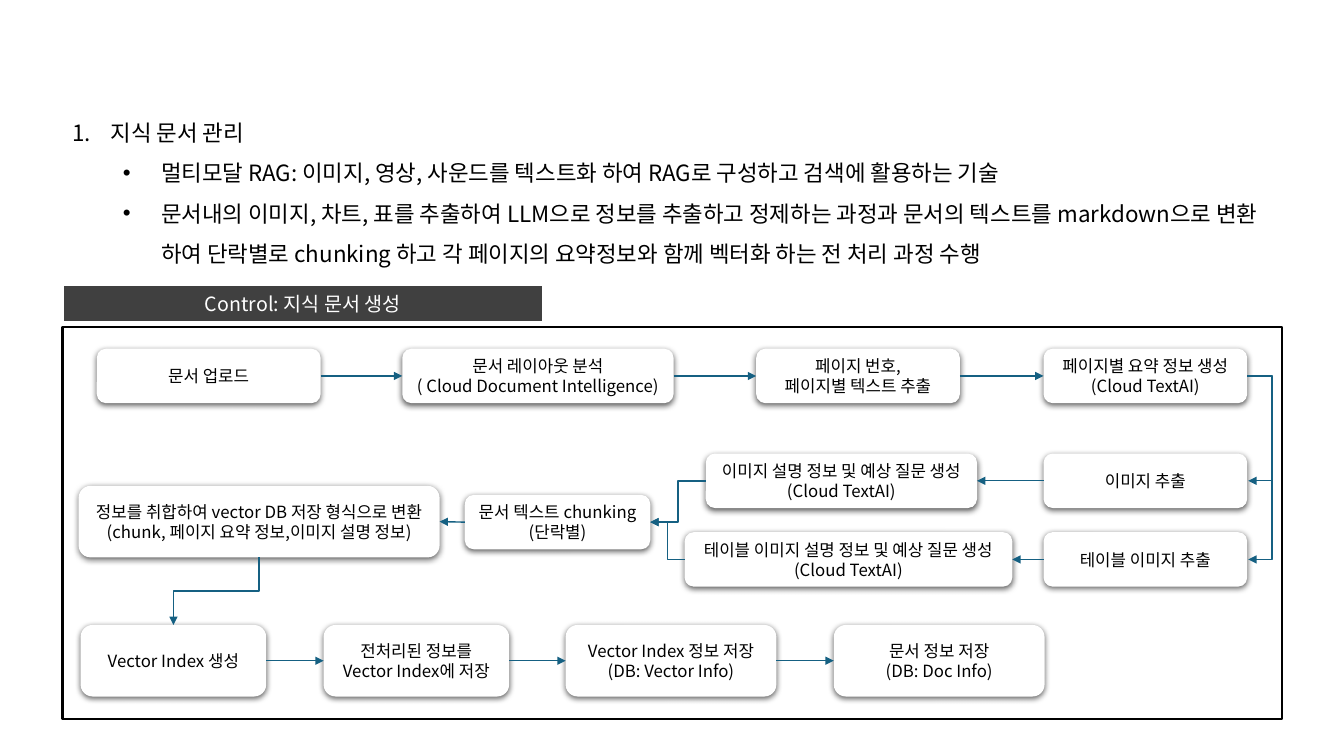
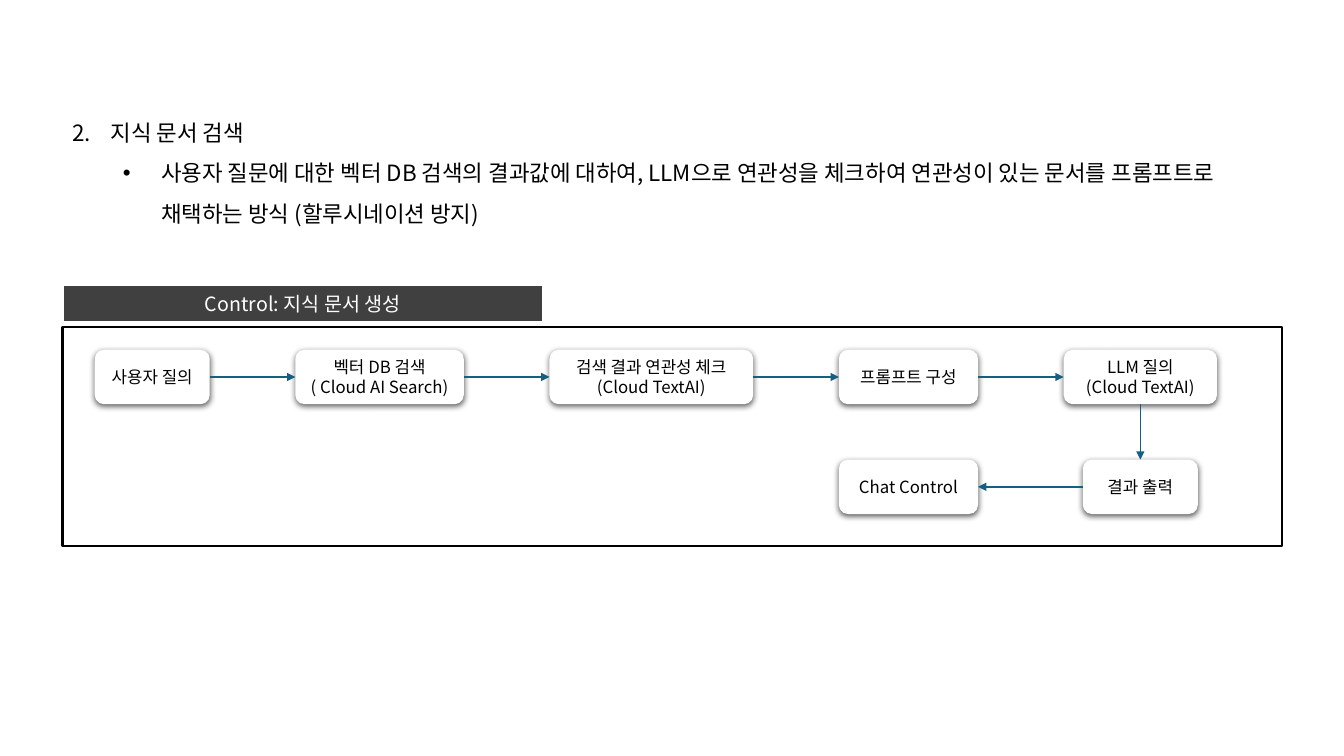
from dataclasses import dataclass

from lxml import etree
from pptx import Presentation
from pptx.dml.color import RGBColor
from pptx.enum import shapes as es, text as et
from pptx.oxml.ns import qn
from pptx.util import Emu, Inches, Pt


@dataclass(frozen=True)
class Theme:
    font: str = "Noto Sans CJK KR"
    ink: str = "000000"
    paper: str = "FFFFFF"
    band: str = "404040"
    arrow: str = "156082"
    body: int = 16
    head: int = 14
    node: int = 12
    edge: float = 1.5
    wire: float = 1


T = Theme()
TOP, LEFT, FOOT, RIGHT = range(4)
BOX_H = 0.54


def rgb(code):
    return RGBColor.from_string(code)


def sub(parent, tag, **attrs):
    return etree.SubElement(parent, qn(tag), attrs)


def style(para, size, color):
    font = para.font
    font.name, font.size = T.font, Pt(size)
    font.color.rgb = rgb(color)
    props = para._p.pPr.find(qn("a:defRPr"))
    sub(props, "a:ea", typeface=T.font)


def shape(slide, kind, box, fill, line=None):
    part = slide.shapes.add_shape(kind, *map(Inches, box))
    part.shadow.inherit = False
    part.fill.solid()
    part.fill.fore_color.rgb = rgb(fill)
    if line:
        part.line.color.rgb = rgb(line)
        part.line.width = Pt(T.edge)
    else:
        part.line.fill.background()
    return part


def label(part, words, size, color):
    frame = part.text_frame
    frame.word_wrap = True
    frame.vertical_anchor = et.MSO_ANCHOR.MIDDLE
    frame.text = words
    for para in frame.paragraphs:
        para.alignment = et.PP_ALIGN.CENTER
        style(para, size, color)


def intro(slide, box, num, title, points):
    area = slide.shapes.add_textbox(*map(Inches, box))
    frame = area.text_frame
    frame.word_wrap = True
    frame.auto_size = et.MSO_AUTO_SIZE.SHAPE_TO_FIT_TEXT
    frame.text = "\n".join([title, *points])
    for i, para in enumerate(frame.paragraphs):
        para.level = min(i, 1)
        para.line_spacing = 1.5
        props = para._p.get_or_add_pPr()
        props.set("marL", str(Inches(0.88 if i else 0.38)))
        props.set("indent", str(Inches(-0.38)))
        if i:
            sub(props, "a:buFont", typeface="Arial")
            sub(props, "a:buChar", char="•")
        else:
            sub(props, "a:buFont", typeface="+mj-lt")
            sub(props, "a:buAutoNum", type="arabicPeriod", startAt=str(num))
        style(para, T.body, T.ink)


def node(slide, box, words):
    part = shape(slide, es.MSO_SHAPE.ROUNDED_RECTANGLE, box, T.paper)
    glow = sub(
        part._element.spPr.find(qn("a:effectLst")), "a:outerShdw",
        blurRad=str(Pt(4.5)), dist=str(Pt(1.5)), dir="5400000",
        algn="ctr", rotWithShape="0")
    tint = sub(glow, "a:srgbClr", val=T.ink)
    sub(tint, "a:alpha", val="63000")
    label(part, words, T.node, T.ink)
    return part


def link(slide, a, b, out=RIGHT, into=LEFT, bent=False):
    kind = es.MSO_CONNECTOR.ELBOW if bent else es.MSO_CONNECTOR.STRAIGHT
    wire = slide.shapes.add_connector(kind, 0, 0, 0, 0)
    wire.begin_connect(a, out)
    wire.end_connect(b, into)
    wire.line.color.rgb = rgb(T.arrow)
    wire.line.width = Pt(T.wire)
    sub(wire.line._get_or_add_ln(), "a:tailEnd", type="triangle")
    sub(wire._element.spPr, "a:effectLst")
    return wire


def unflip(wire):
    form = wire._element.spPr.find(qn("a:xfrm"))
    form.attrib.pop("flipH", None)
    return form


def loop(slide, a, b):
    wire = link(slide, a, b, RIGHT, RIGHT, True)
    unflip(wire)
    wire.width = Inches(0.01)
    geom = wire._element.spPr.find(qn("a:prstGeom"))
    guides = geom.find(qn("a:avLst"))
    if guides is None:
        guides = sub(geom, "a:avLst")
    sub(guides, "a:gd", name="adj1", fmla="val 2500000")


def drop(slide, a, b):
    wire = link(slide, a, b, FOOT, TOP, True)
    wide, high = wire.width, wire.height
    wire.left = Emu(wire.left + (wide - high) // 2)
    wire.top = Emu(wire.top + (high - wide) // 2)
    wire.width, wire.height = high, wide
    unflip(wire).set("rot", "5400000")


def chain(slide, nodes, names, out=RIGHT, into=LEFT):
    keys = names.split()
    for a, b in zip(keys, keys[1:]):
        link(slide, nodes[a], nodes[b], out, into)


def panel(slide, box, title, rows):
    x, y, wide, high = box
    bar = shape(slide, es.MSO_SHAPE.RECTANGLE, (x, y, 4.77, 0.37), T.band, T.paper)
    label(bar, title, T.head, T.paper)
    y += 0.41
    shape(slide, es.MSO_SHAPE.RECTANGLE, (x, y, wide, high - 0.41), T.paper, T.ink)
    return {
        key: node(slide, (x + dx, y + dy, w, h), words)
        for dy, h, cells in rows
        for key, dx, w, words in cells
    }


def manage(slide, box):
    rows = [
        (0.22, BOX_H, [
            ("load", 0.34, 2.22, "문서 업로드"),
            ("scan", 3.37, 2.69, "문서 레이아웃 분석\n( Cloud Document Intelligence)"),
            ("page", 6.88, 2.02, "페이지 번호,\n페이지별 텍스트 추출"),
            ("brief", 9.73, 2.02, "페이지별 요약 정보 생성\n(Cloud TextAI)"),
        ]),
        (1.26, BOX_H, [
            ("image", 9.73, 2.02, "이미지 추출"),
            ("asks", 6.38, 2.69, "이미지 설명 정보 및 예상 질문 생성\n(Cloud TextAI)"),
        ]),
        (2.04, BOX_H, [
            ("table", 9.73, 2.02, "테이블 이미지 추출"),
            ("cells", 6.17, 3.25, "테이블 이미지 설명 정보 및 예상 질문 생성\n(Cloud TextAI)"),
        ]),
        (1.58, 0.71, [
            ("merge", 0.16, 3.58, "정보를 취합하여 vector DB 저장 형식으로 변환\n"
             "(chunk, 페이지 요약 정보,이미지 설명 정보)"),
        ]),
        (1.67, BOX_H, [("chunk", 3.99, 1.84, "문서 텍스트 chunking\n(단락별)")]),
        (2.96, 0.71, [
            ("index", 0.18, 1.84, "Vector Index 생성"),
            ("store", 2.59, 1.84, "전처리된 정보를 Vector Index에 저장"),
            ("info", 4.99, 2.09, "Vector Index 정보 저장\n(DB: Vector Info)"),
            ("doc", 7.65, 2.09, "문서 정보 저장\n(DB: Doc Info)"),
        ]),
    ]
    nodes = panel(slide, box, "Control: 지식 문서 생성", rows)
    for names in ("load scan page brief", "index store info doc"):
        chain(slide, nodes, names)
    for names in ("image asks", "table cells", "chunk merge"):
        chain(slide, nodes, names, LEFT, RIGHT)
    for key in ("asks", "cells"):
        link(slide, nodes[key], nodes["chunk"], LEFT, RIGHT, True)
    for key in ("image", "table"):
        loop(slide, nodes["brief"], nodes[key])
    drop(slide, nodes["merge"], nodes["index"])


def search(slide, box):
    steps = [
        ("user", 1.14, "사용자 질의"),
        ("find", 1.67, "벡터 DB 검색\n( Cloud AI Search)"),
        ("check", 2.02, "검색 결과 연관성 체크\n(Cloud TextAI)"),
        ("prompt", 1.38, "프롬프트 구성"),
        ("model", 1.52, "LLM 질의\n(Cloud TextAI)"),
    ]
    cells, x = [], 0.32
    for key, wide, words in steps:
        cells.append((key, x, wide, words))
        x += wide + 0.85
    rows = [
        (0.23, BOX_H, cells),
        (1.32, BOX_H, [
            ("chat", 7.7, 1.38, "Chat Control"),
            ("reply", 10.12, 1.14, "결과 출력"),
        ]),
    ]
    nodes = panel(slide, box, "Control: 지식 문서 생성", rows)
    chain(slide, nodes, "user find check prompt model")
    chain(slide, nodes, "model reply", FOOT, TOP)
    chain(slide, nodes, "reply chat", LEFT, RIGHT)


def main():
    deck = Presentation()
    deck.slide_width, deck.slide_height = Inches(13.33), Inches(7.5)
    blank = deck.slide_layouts[6]

    first = deck.slides.add_slide(blank)
    intro(first, (0.62, 1, 12.09, 1.67), 1, "지식 문서 관리", [
        "멀티모달 RAG: 이미지, 영상, 사운드를 텍스트화 하여 RAG로 구성하고 검색에 활용하는 기술",
        "문서내의 이미지, 차트, 표를 추출하여 LLM으로 정보를 추출하고 정제하는 과정과 "
        "문서의 텍스트를 markdown으로 변환 하여 단락별로 chunking 하고 "
        "각 페이지의 요약정보와 함께 벡터화 하는 전 처리 과정 수행",
    ])
    manage(first, (0.62, 2.83, 12.1, 4.3))

    second = deck.slides.add_slide(blank)
    intro(second, (0.62, 1, 12.09, 1.27), 2, "지식 문서 검색", [
        "사용자 질문에 대한 벡터 DB 검색의 결과값에 대하여, LLM으로 연관성을 체크하여 "
        "연관성이 있는 문서를 프롬프트로 채택하는 방식 (할루시네이션 방지)",
    ])
    search(second, (0.62, 2.83, 12.1, 2.59))

    deck.save("out.pptx")


if __name__ == "__main__":
    main()
